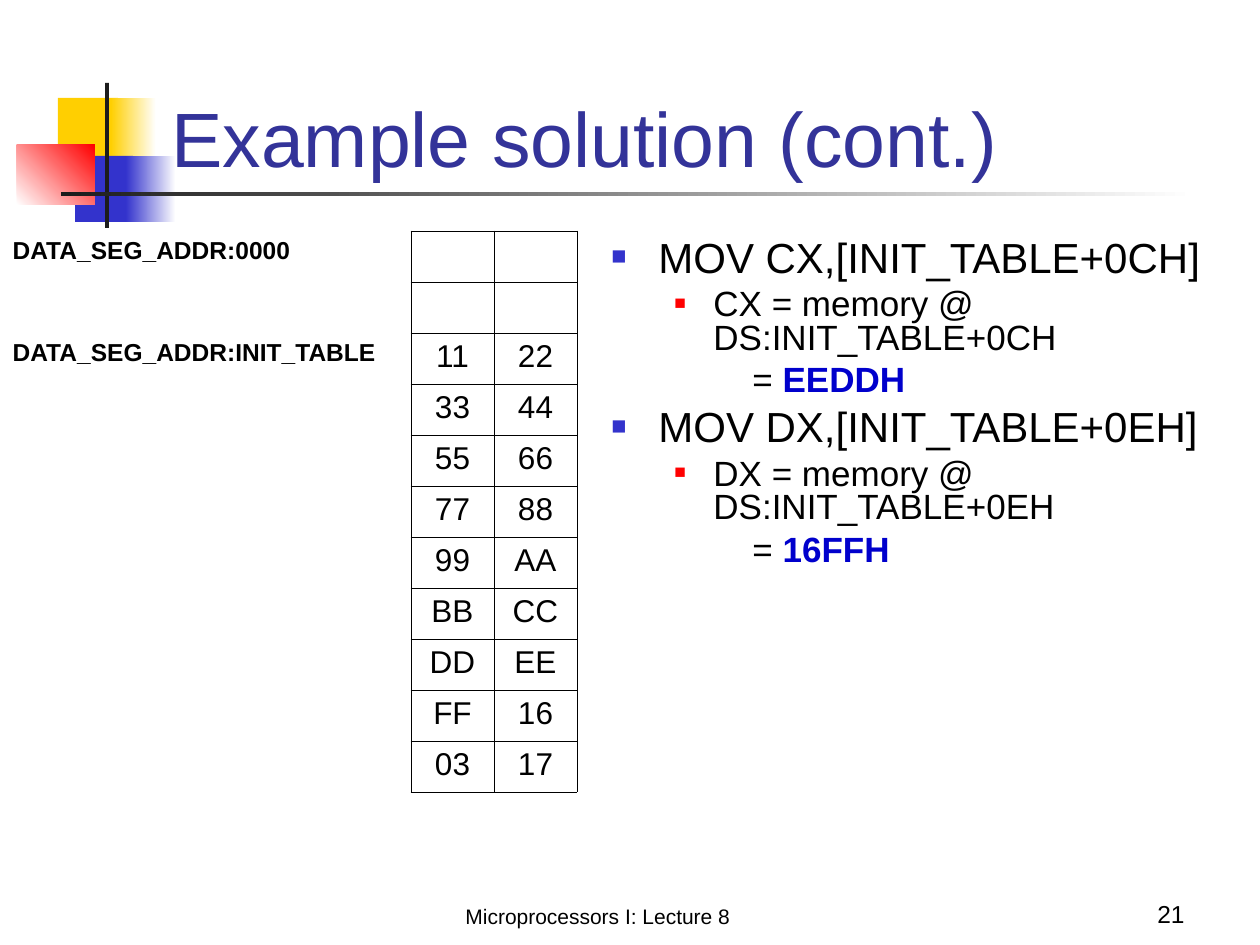
import pptx
import pptx.dml.color
import pptx.enum.shapes
import pptx.enum.text
import pptx.oxml
import pptx.oxml.ns
import pptx.util
from lxml import etree

EMU_PER_PX = 914400 // 126
FONT = "Arial"
COLORS = {
    "white": "FFFFFF",
    "black": "000000",
    "bar": "1C1C1C",
    "yellow": "FFCF01",
    "blue": "3333CC",
    "red": "FF0000",
    "title": "333399",
    "result": "0000CC",
}
ALIGN = pptx.enum.text.PP_ALIGN
ANCHOR = pptx.enum.text.MSO_ANCHOR

MEMORY = [
    ("", ""), ("", ""), ("11", "22"), ("33", "44"), ("55", "66"), ("77", "88"),
    ("99", "AA"), ("BB", "CC"), ("DD", "EE"), ("FF", "16"), ("03", "17"),
]
ADDRESSES = {0: "DATA_SEG_ADDR:0000", 2: "DATA_SEG_ADDR:INIT_TABLE"}
# register, offset, result
MOVES = [("CX", "0CH", "EEDDH"), ("DX", "0EH", "16FFH")]


def px(length):
    return pptx.util.Emu(length * EMU_PER_PX)


def rgb(name):
    return pptx.dml.color.RGBColor.from_string(COLORS[name])


def style(font, size, color="black", bold=False):
    font.name = FONT
    font.size = pptx.util.Pt(size)
    font.bold = bold
    font.color.rgb = rgb(color)


def add_block(slide, box, start, end=None, angle=0):
    """A plain rectangle, or one that fades from start to end."""
    block = slide.shapes.add_shape(
        pptx.enum.shapes.MSO_SHAPE.RECTANGLE, *map(px, box))
    block.shadow.inherit = False
    block.line.fill.background()
    if end is None:
        block.fill.solid()
        block.fill.fore_color.rgb = rgb(start)
        return
    block.fill.gradient()
    block.fill.gradient_angle = angle
    for stop, name, position in zip(block.fill.gradient_stops, (start, end), (0, 1)):
        stop.color.rgb = rgb(name)
        stop.position = position


def add_frame(slide, box, anchor=ANCHOR.TOP):
    frame = slide.shapes.add_textbox(*map(px, box)).text_frame
    frame.word_wrap = True
    frame.vertical_anchor = anchor
    return frame


def add_line_of_text(slide, box, text, size, color="black", align=ALIGN.LEFT):
    paragraph = add_frame(slide, box, ANCHOR.BOTTOM).paragraphs[0]
    paragraph.text = text
    paragraph.alignment = align
    style(paragraph.font, size, color)


def set_borders(cell, sides):
    """Put border lines ahead of the cell's fill, in schema order."""
    properties = cell._tc.get_or_add_tcPr()
    for index, side in enumerate("LRTB"):
        line = pptx.oxml.parse_xml(
            f'<a:ln{side} {pptx.oxml.ns.nsdecls("a")} w="5715"><a:solidFill>'
            f'<a:srgbClr val="{COLORS[sides[side]]}"/></a:solidFill></a:ln{side}>')
        properties.insert(index, line)


def add_memory_table(slide):
    widths, row_height = (411, 83, 83), 51
    table = slide.shapes.add_table(
        len(MEMORY), len(widths), px(0), px(231),
        px(sum(widths)), px(row_height * len(MEMORY))).table
    table.first_row = table.horz_banding = False
    for column, width in zip(table.columns, widths):
        column.width = px(width)
    byte_sides = dict.fromkeys("LRTB", "black")
    label_sides = dict.fromkeys("LTB", "white") | {"R": "black"}
    for row, data in enumerate(MEMORY):
        table.rows[row].height = px(row_height)
        for column, text in enumerate((ADDRESSES.get(row, ""), *data)):
            is_label = column == 0
            cell = table.cell(row, column)
            cell.fill.solid()
            cell.fill.fore_color.rgb = rgb("white")
            set_borders(cell, label_sides if is_label else byte_sides)
            if text:
                paragraph = cell.text_frame.paragraphs[0]
                paragraph.text = text
                paragraph.alignment = ALIGN.LEFT if is_label else ALIGN.CENTER
                style(paragraph.font, 14 if is_label else 18, bold=is_label)


def set_indent(paragraph, margin, hanging=0, bullet=None):
    """Set indents and, if given, a square bullet as (colour, percent)."""
    properties = paragraph._p.get_or_add_pPr()
    properties.set("marL", str(px(margin)))
    properties.set("indent", str(px(-hanging)))
    if bullet:
        color, percent = bullet
        tag = pptx.oxml.ns.qn
        bullet_color = etree.SubElement(properties, tag("a:buClr"))
        etree.SubElement(bullet_color, tag("a:srgbClr")).set("val", COLORS[color])
        etree.SubElement(properties, tag("a:buSzPct")).set("val", str(percent * 1000))
        etree.SubElement(properties, tag("a:buFont")).set("typeface", FONT)
        etree.SubElement(properties, tag("a:buChar")).set("char", "■")


def add_explanation(slide):
    frame = add_frame(slide, (599, 231, 661, 373))
    frame.margin_top = px(10)

    def add_item(text, size, space, margin, hanging=0, bullet=None):
        is_first = not frame.paragraphs[0].runs
        paragraph = frame.paragraphs[0] if is_first else frame.add_paragraph()
        paragraph.add_run().text = text
        paragraph.line_spacing = 0.8
        if not is_first:
            paragraph.space_before = pptx.util.Pt(space)
        set_indent(paragraph, margin, hanging, bullet)
        return paragraph

    for register, offset, result in MOVES:
        operand = f"INIT_TABLE+{offset}"
        instruction = add_item(f"MOV {register},[{operand}]", 24, 6, 47, 47, ("blue", 60))
        style(instruction.font, 24)
        meaning = add_item(f"{register} = memory @ DS:{operand}", 20, 5, 102, 39, ("red", 55))
        style(meaning.font, 20)
        outcome = add_item("= ", 20, 5, 141)
        style(outcome.runs[0].font, 20)
        value = outcome.add_run()
        value.text = result
        style(value.font, 20, "result", bold=True)


def main():
    deck = pptx.Presentation()
    deck.slide_width, deck.slide_height = px(1260), px(945)
    slide = deck.slides.add_slide(deck.slide_layouts[6])

    # Corner decoration and title rule
    add_block(slide, (58, 98, 60, 66), "yellow")
    add_block(slide, (111, 98, 45, 66), "yellow", "white")
    add_block(slide, (75, 156, 58, 66), "blue")
    add_block(slide, (126, 156, 50, 66), "blue", "white")
    add_block(slide, (17, 145, 78, 60), "white", "red", angle=45)
    add_block(slide, (105, 83, 4, 145), "bar")
    add_block(slide, (61, 192, 1134, 4), "bar", "white")

    # Title
    add_line_of_text(slide, (159, 32, 1074, 157), "Example solution (cont.)", 44, "title")

    # Memory contents and the instructions that read them
    add_memory_table(slide)
    add_explanation(slide)

    # Footer
    add_line_of_text(slide, (262, 872, 672, 63), "Microprocessors I: Lecture 8", 12,
                     align=ALIGN.CENTER)
    add_line_of_text(slide, (935, 872, 262, 63), "21", 14, align=ALIGN.RIGHT)

    deck.save("out.pptx")


if __name__ == "__main__":
    main()
